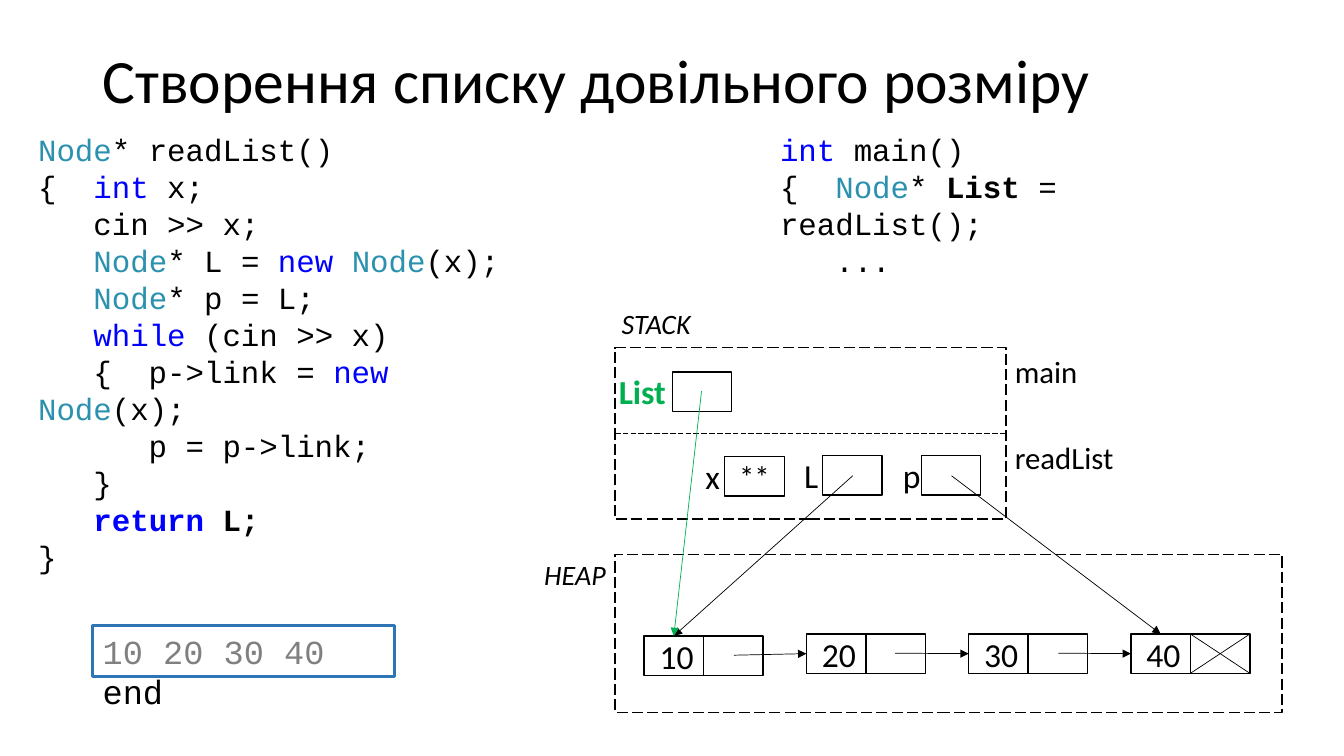
from pptx import Presentation
from pptx.dml.color import RGBColor
from pptx.enum.dml import MSO_LINE
from pptx.enum.shapes import MSO_CONNECTOR, MSO_SHAPE
from pptx.enum.text import MSO_ANCHOR, PP_ALIGN
from pptx.oxml.ns import qn
from pptx.util import Pt
from lxml import etree

PX = 9144
RECT = MSO_SHAPE.RECTANGLE
STRAIGHT = MSO_CONNECTOR.STRAIGHT
DASH = MSO_LINE.LONG_DASH
LEFT, CENTER, RIGHT = PP_ALIGN.LEFT, PP_ALIGN.CENTER, PP_ALIGN.RIGHT
TOP, MIDDLE = MSO_ANCHOR.TOP, MSO_ANCHOR.MIDDLE
TOP_SIDE, LEFT_SIDE = 0, 1
CELL_W, CELL_H = 59, 39
NODE_X, NODE_Y, NODE_STEP = 639, 629, 161

COLORS = {
    "black": "000000",
    "keyword": "0000FF",
    "type": "2B91AF",
    "green": "00B050",
    "gray": "808080",
    "frame": "2E75B6",
}

NODE = ("Node", "type", False)
INT = ("int", "keyword", False)
NEW = ("new", "keyword", False)
WHILE = ("while", "keyword", False)
RETURN = ("return", "keyword", True)

MAIN_CODE = [
    [INT, " main()"],
    ["{  ", NODE, "* ", ("List", "black", True), " = readList();"],
    ["   ..."],
]
READ_CODE = [
    [NODE, "* readList()"],
    ["{  ", INT, " x;"],
    ["   cin >> x;"],
    ["   ", NODE, "* L = ", NEW, " ", NODE, "(x);"],
    ["   ", NODE, "* p = L;"],
    ["   ", WHILE, " (cin >> x)"],
    ["   {  p->link = ", NEW, " ", NODE, "(x);"],
    ["      p = p->link;"],
    ["   }"],
    ["   ", RETURN, (" L;", "black", True)],
    ["}"],
]


def rgb(name):
    """Return the named colour."""
    return RGBColor.from_string(COLORS[name])


def set_text(sp, lines, size=24, font="Calibri", color="black", bold=False,
             italic=False, align=LEFT, anchor=TOP, wrap=True, spacing=None):
    """Fill a shape with lines, each a list of strings or (text, colour, bold)."""
    tf = sp.text_frame
    tf.word_wrap = wrap
    tf.vertical_anchor = anchor
    for i, line in enumerate(lines):
        p = tf.paragraphs[0] if i == 0 else tf.add_paragraph()
        p.alignment = align
        if spacing:
            p.line_spacing = spacing
        for part in line:
            text, name, strong = (part, color, bold) if isinstance(part, str) else part
            r = p.add_run()
            r.text = text
            r.font.name = font
            r.font.size = Pt(size)
            r.font.bold = strong
            r.font.italic = italic
            r.font.color.rgb = rgb(name)


def add_label(s, x, y, w, h, lines, **fmt):
    """Add a text box; a plain string counts as one line."""
    sp = s.shapes.add_textbox(x * PX, y * PX, w * PX, h * PX)
    set_text(sp, [[lines]] if isinstance(lines, str) else lines, **fmt)


def add_box(s, x, y, w=CELL_W, h=CELL_H, color="black", width=1, dash=None):
    """Add an unfilled rectangle."""
    sp = s.shapes.add_shape(RECT, x * PX, y * PX, w * PX, h * PX)
    sp.shadow.inherit = False
    sp.fill.background()
    sp.line.color.rgb = rgb(color)
    sp.line.width = Pt(width)
    if dash:
        sp.line.dash_style = dash
    return sp


def add_line(s, x1, y1, x2, y2, color="black", dash=None):
    """Add a thin straight line."""
    line = s.shapes.add_connector(STRAIGHT, x1 * PX, y1 * PX, x2 * PX, y2 * PX)
    line.line.color.rgb = rgb(color)
    line.line.width = Pt(0.5)
    if dash:
        line.line.dash_style = dash
    etree.SubElement(line._element.spPr, qn("a:effectLst"))
    return line


def add_pointer(s, source, target, side, color="black"):
    """Draw an arrow from the centre of one cell to a side of another."""
    x = (source.left + source.width // 2) / PX
    y = (source.top + source.height // 2) / PX
    x, y = round(x), round(y)
    line = add_line(s, x, y, x, y, color)
    line.end_connect(target, side)
    ln = line.line._get_or_add_ln()
    etree.SubElement(ln, qn("a:tailEnd"), type="triangle")


def add_variable(s, name, x, y, label_x, label_w=25, **fmt):
    """Add a named memory cell and return the cell."""
    cell = add_box(s, x, y)
    add_label(s, label_x, y - 6, label_w, 50, name, **fmt)
    return cell


def add_node(s, value, x, y):
    """Add a list node and return its value cell and link cell."""
    cell = add_box(s, x, y)
    set_text(cell, [[value]], align=RIGHT, anchor=MIDDLE)
    return cell, add_box(s, x + CELL_W, y)


def add_stack(s):
    """Draw the stack frames and return the three pointer cells."""
    add_label(s, 607, 299, 90, 44, "STACK", size=20, italic=True, wrap=False)
    add_box(s, 610, 345, 388, 170, dash=DASH)
    add_line(s, 610, 430, 997, 430, dash=DASH)
    for name, y, w in (("main", 345, 83), ("readList", 430, 119)):
        add_label(s, 997, y, w, 47, name, size=22, wrap=False)
    x_cell = add_variable(s, "x", 719, 453, 690)
    set_text(x_cell, [["**"]], size=22, align=CENTER, anchor=MIDDLE)
    return (
        add_variable(s, "List", 667, 369, 604, 68, color="green", bold=True),
        add_variable(s, "L", 816, 452, 788),
        add_variable(s, "p", 914, 452, 886),
    )


def add_heap(s):
    """Draw the linked nodes and return their value cells."""
    add_label(s, 530, 548, 82, 44, "HEAP", size=20, italic=True, wrap=False)
    add_box(s, 610, 550, 662, 157, dash=DASH)
    nodes = [
        add_node(s, value, NODE_X + i * NODE_STEP, NODE_Y + (2 if i == 0 else 0))
        for i, value in enumerate(("10", "20", "30", "40"))
    ]
    for (_, link), (cell, _) in zip(nodes, nodes[1:]):
        add_pointer(s, link, cell, LEFT_SIDE)
    x, y = NODE_X + 3 * NODE_STEP + CELL_W, NODE_Y
    add_line(s, x, y, x + CELL_W, y + CELL_H)
    add_line(s, x, y + CELL_H, x + CELL_W, y)
    return [cell for cell, _ in nodes]


def main():
    """Build the slide and save it."""
    prs = Presentation()
    prs.slide_width, prs.slide_height = 12192000, 750 * PX
    s = prs.slides.add_slide(prs.slide_layouts[6])
    add_label(s, 92, 40, 1150, 85, "Створення списку довільного розміру",
              size=44, anchor=MIDDLE, spacing=0.9)
    add_label(s, 764, 125, 494, 121, MAIN_CODE, size=22, font="Courier New")
    add_label(s, 28, 125, 496, 417, READ_CODE, size=22, font="Courier New")
    console = add_box(s, 92, 621, 299, 50, color="frame", width=2.25)
    set_text(console, [["10 20 30 40 ", ("end", "black", False)]],
             font="Courier New", color="gray")
    list_cell, l_cell, p_cell = add_stack(s)
    values = add_heap(s)
    add_pointer(s, l_cell, values[0], TOP_SIDE)
    add_pointer(s, p_cell, values[-1], TOP_SIDE)
    add_pointer(s, list_cell, values[0], TOP_SIDE, color="green")
    prs.save("out.pptx")


if __name__ == "__main__":
    main()
